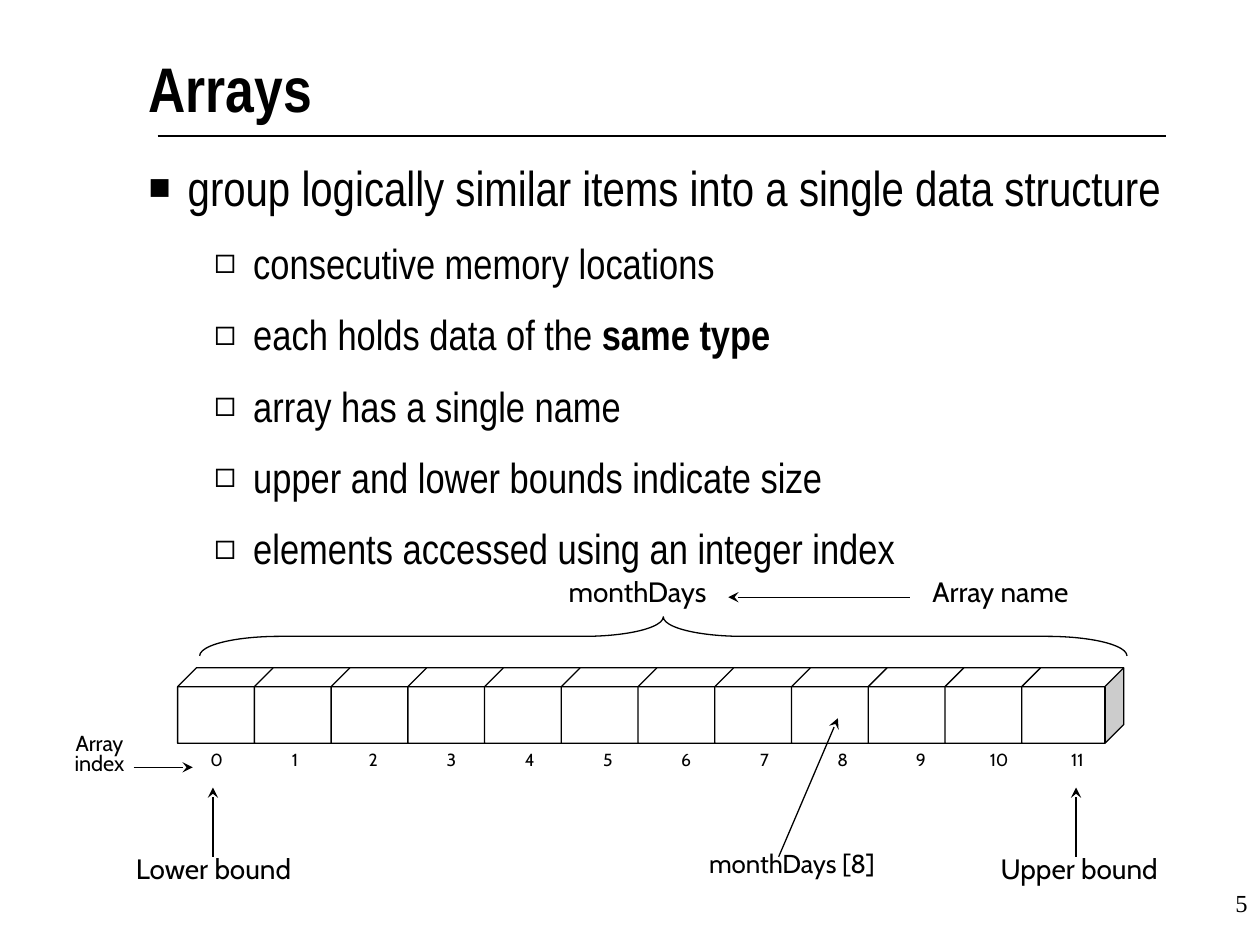
from lxml.etree import SubElement
from pptx import Presentation
from pptx.dml.color import RGBColor
from pptx.enum.shapes import MSO_CONNECTOR, MSO_SHAPE
from pptx.enum.text import MSO_ANCHOR, MSO_AUTO_SIZE, PP_ALIGN
from pptx.oxml.ns import qn
from pptx.util import Inches, Pt

COLORS = {"ink": "000000", "paper": "FFFFFF"}
FONTS = {"heading": "Arial Narrow", "diagram": "Cabin", "page": "Times New Roman"}
COLUMNS, ROWS = 100, 75


class ArraySlide:
    """Places styled elements on a grid of COLUMNS by ROWS."""

    def __init__(self, deck):
        self.slide = deck.slides.add_slide(deck.slide_layouts[1])
        self.shapes = self.slide.shapes
        self.column = deck.slide_width / COLUMNS
        self.row = deck.slide_height / ROWS

    def grid(self, x, y, *rest):
        units = (self.column, self.row) * 2
        return [round(v * unit) for v, unit in zip((x, y, *rest), units)]

    def color(self, name):
        return RGBColor.from_string(COLORS[name])

    def frame(self, holder, inset=(0, 0)):
        frame = holder.text_frame
        side, top = (Inches(v) for v in inset)
        settings = {"word_wrap": True, "auto_size": MSO_AUTO_SIZE.NONE,
                    "vertical_anchor": MSO_ANCHOR.TOP,
                    "margin_left": side, "margin_right": side,
                    "margin_top": top, "margin_bottom": top}
        for key, value in settings.items():
            setattr(frame, key, value)
        return frame

    def place(self, holder, area):
        for key, value in zip(("left", "top", "width", "height"), self.grid(*area)):
            setattr(holder, key, value)

    def add_text(self, paragraph, text, size, font, bold=False):
        run = paragraph.add_run()
        run.text = text
        for key, value in {"size": Pt(size), "name": FONTS[font], "bold": bold}.items():
            setattr(run.font, key, value)
        run.font.color.rgb = self.color("ink")

    def title(self, text, area):
        heading = self.shapes.title
        self.place(heading, area)
        paragraph = self.frame(heading).paragraphs[0]
        paragraph.alignment = PP_ALIGN.LEFT
        self.add_text(paragraph, text, 36, "heading", True)

    def bullets(self, items, levels, area):
        body = self.slide.placeholders[1]
        self.place(body, area)
        frame = self.frame(body)
        for i, (level, *pieces) in enumerate(items):
            paragraph = frame.add_paragraph() if i else frame.paragraphs[0]
            style = levels[level]
            paragraph.level = level
            paragraph.space_before = Pt(style["before"])
            for n, text in enumerate(pieces):
                self.add_text(paragraph, text, style["size"], "heading", bold=n == 1)
            properties = paragraph._p.get_or_add_pPr()
            properties.set("marL", str(Inches(style["indent"])))
            properties.set("indent", str(-Inches(0.31)))
            tint = SubElement(properties, qn("a:buClr"))
            SubElement(tint, qn("a:srgbClr"), val=COLORS["ink"])
            SubElement(properties, qn("a:buSzPct"), val=str(style["scale"] * 1000))
            SubElement(properties, qn("a:buChar"), char=style["mark"])

    def label(self, lines, area, size=16, font="diagram", spacing=1.0,
              inset=(0.1, 0.05), align=PP_ALIGN.CENTER):
        frame = self.frame(self.shapes.add_textbox(*self.grid(*area)), inset)
        for i, text in enumerate(lines):
            paragraph = frame.add_paragraph() if i else frame.paragraphs[0]
            paragraph.alignment = align
            paragraph.line_spacing = spacing
            self.add_text(paragraph, text, size, font)

    def outline(self, item):
        item.line.color.rgb = self.color("ink")
        item.line.width = Pt(0.75)

    def line(self, start, end, arrow=True):
        link = self.shapes.add_connector(
            MSO_CONNECTOR.STRAIGHT, *self.grid(*start), *self.grid(*end))
        self.outline(link)
        if arrow:
            SubElement(link.line._get_or_add_ln(), qn("a:tailEnd"), type="stealth")
        SubElement(link._element.spPr, qn("a:effectLst"))

    def cube(self, area):
        box = self.shapes.add_shape(MSO_SHAPE.CUBE, *self.grid(*area))
        box.shadow.inherit = False
        box.fill.solid()
        box.fill.fore_color.rgb = self.color("paper")
        self.outline(box)

    def brace(self, area):
        brace = self.shapes.add_shape(MSO_SHAPE.RIGHT_BRACE, *self.grid(*area))
        brace.shadow.inherit = False
        brace.rotation = 270
        brace.adjustments[0] = 2.04
        brace.fill.background()
        self.outline(brace)


def main():
    deck = Presentation()
    deck.slide_width, deck.slide_height = Inches(10), Inches(7.5)
    page = ArraySlide(deck)

    # Heading, rule and page number
    page.line((12.5, 10.8), (92.5, 10.8), arrow=False)
    page.title("Arrays", (11.8, 3.9, 76.5, 7.5))
    page.label(["5"], (79.2, 70, 20.8, 5), 14, "page", align=PP_ALIGN.RIGHT)

    # Properties of an array; a second piece of an item is bold
    levels = [
        {"size": 28, "before": 14, "indent": 0.31, "mark": "■", "scale": 75},
        {"size": 24, "before": 12, "indent": 0.83, "mark": "◻", "scale": 85},
    ]
    properties = [
        (0, "group logically similar items into a single data structure"),
        (1, "consecutive memory locations"),
        (1, "each holds data of the ", "same type"),
        (1, "array has a single name"),
        (1, "upper and lower bounds indicate size"),
        (1, "elements accessed using an integer index"),
    ]
    page.bullets(properties, levels, (11.8, 12.5, 82.5, 52.5))

    # Array cells with their indexes
    for index in range(12):
        page.cube((14.1 + 6.09 * index, 53, 8.1, 6))
        page.label([str(index)], (13 + 6.21 * index, 59.3, 8.4, 2.8),
                   10, spacing=0.8, inset=(0, 0.05))

    # Array name over the brace
    page.brace((51.1, 13.7, 3.1, 73.6))
    for name, left in (("monthDays", 35.9), ("Array name", 64.7)):
        page.label([name], (left, 45.1, 29.4, 5.6))
    page.line((72.2, 47.4), (57.8, 47.4))

    # Lower and upper bounds
    for bound, left, tip in (("Lower bound", 9, 16.9), ("Upper bound", 77.7, 85.4)):
        page.label([bound], (left, 67.1, 15.9, 4.2))
        page.line((tip, 68), (tip, 62.5))

    # Index caption and a single element
    page.label(["Array", "index"], (3.6, 57.8, 8.6, 5.3), 12.4, spacing=0.8)
    page.line((10.6, 60.9), (15.3, 60.9))
    page.label(["monthDays [8]"], (54.4, 67.1, 16.9, 4), 14.8, spacing=0.9)
    page.line((61.8, 68), (66.5, 57))

    deck.save("out.pptx")


if __name__ == "__main__":
    main()
